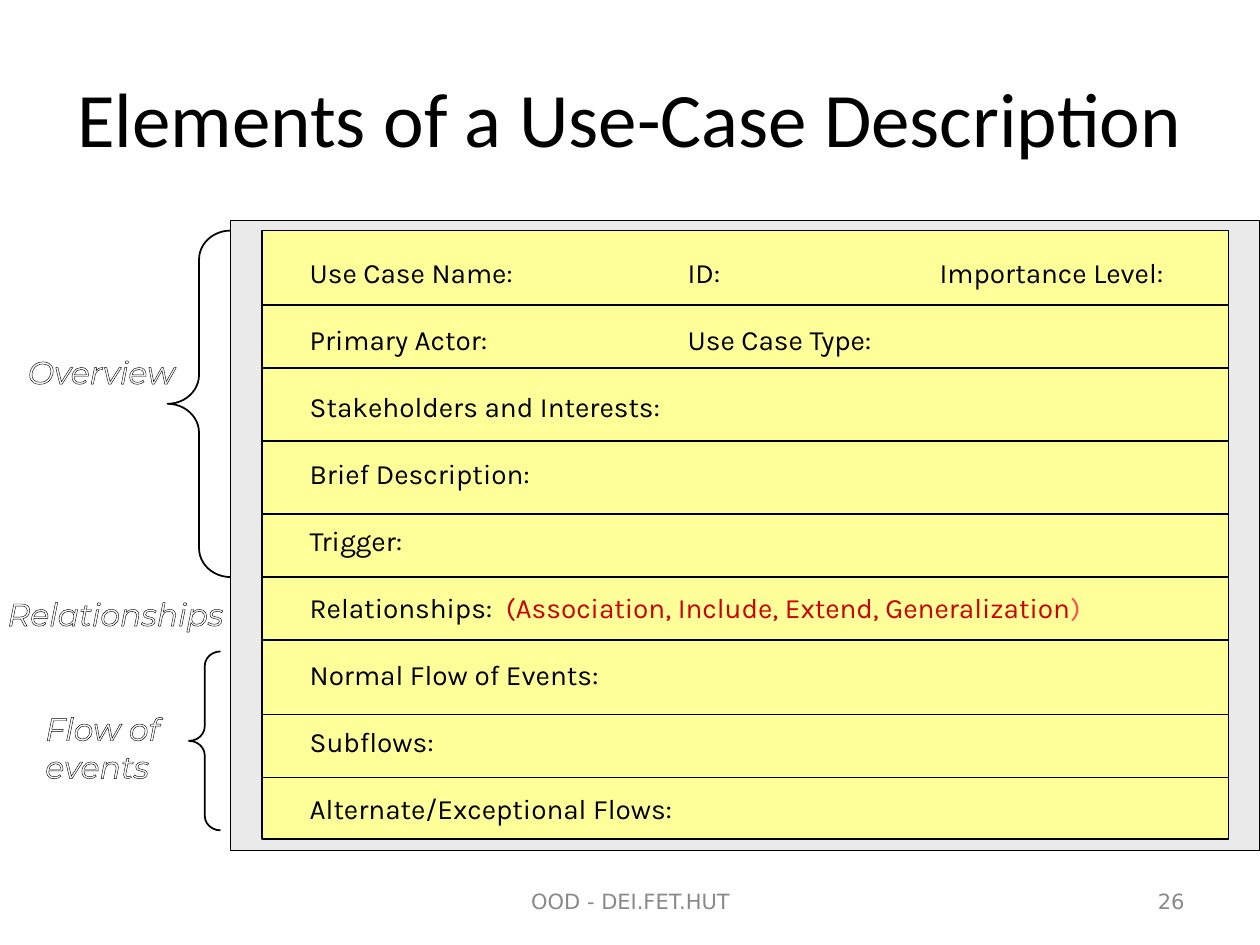
from lxml import etree
from pptx import Presentation
from pptx.dml.color import RGBColor
from pptx.enum.shapes import MSO_CONNECTOR, MSO_SHAPE
from pptx.enum.text import MSO_ANCHOR, PP_ALIGN
from pptx.oxml.ns import qn
from pptx.util import Inches, Pt

COLORS = {"text": "000000", "muted": "898989", "panel": "EAEAEA", "form": "FFFF99",
          "note": "CC0000", "bracket": "FF5050", "label": "FFFFFF"}

FORM_LEFT, FORM_TOP, FORM_RIGHT, FORM_BOTTOM = 2.08, 1.83, 9.75, 6.66
DIVIDERS = [2.42, 2.92, 3.5, 4.08, 4.58, 5.08, 5.67, 6.17]

# Each field is a list of (text, colour) runs
FIELDS = [
    [("Use Case Name:\t\tID:\t\tImportance Level:", "text")],
    [("Primary Actor:\t\tUse Case Type:", "text")],
    [("Stakeholders and Interests:", "text")],
    [("Brief Description:", "text")],
    [("Trigger:", "text")],
    [("Relationships:  ", "text"),
     ("(Association, Include, Extend, Generalization", "note"), (")", "bracket")],
    [("Normal Flow of Events:", "text")],
    [("Subflows:", "text")],
    [("Alternate/Exceptional Flows:", "text")],
]


def rgb(name):
    return RGBColor.from_string(COLORS[name])


def style_run(r, font, size, color):
    r.font.name, r.font.size = font, Pt(size)
    r.font.color.rgb = rgb(color)


def add_text(s, box, paragraphs, font, size):
    tf = s.shapes.add_textbox(*map(Inches, box)).text_frame
    tf.word_wrap = True
    for i, runs in enumerate(paragraphs):
        p = tf.paragraphs[0] if i == 0 else tf.add_paragraph()
        for text, color in runs:
            r = p.add_run()
            r.text = text
            style_run(r, font, size, color)
    return tf


def add_footer(s, box, text, align):
    tf = add_text(s, box, [[(text, "muted")]], "DejaVu Sans", 12)
    tf.vertical_anchor = MSO_ANCHOR.MIDDLE
    tf.paragraphs[0].alignment = align


def add_fields(s, box):
    """Form fields, evenly spaced, with a tab stop at every inch."""
    tf = add_text(s, box, FIELDS, "Karla", 16)
    for p in tf.paragraphs:
        p.space_after = Pt(19.1)
        tabs = etree.SubElement(p._p.get_or_add_pPr(), qn("a:tabLst"))
        for inch in range(1, 8):
            etree.SubElement(tabs, qn("a:tab"), pos=str(Inches(inch)), algn="l")


def add_label(s, box, lines):
    """Italic white text with a thin black outline."""
    tf = add_text(s, box, [[(line, "label")] for line in lines], "Montserrat", 18)
    tf.margin_left = tf.margin_right = 0
    for p in tf.paragraphs:
        r = p.runs[0]
        r.font.italic = True
        ln = etree.Element(qn("a:ln"), w=str(Pt(0.75)))
        fill = etree.SubElement(ln, qn("a:solidFill"))
        etree.SubElement(fill, qn("a:srgbClr"), val=COLORS["text"])
        r.font._element.insert(0, ln)


def add_outlined(s, kind, box, fill=None):
    sp = s.shapes.add_shape(kind, *map(Inches, box))
    sp.shadow.inherit = False
    if fill:
        sp.fill.solid()
        sp.fill.fore_color.rgb = rgb(fill)
    else:
        sp.fill.background()
    sp.line.color.rgb = rgb("text")
    sp.line.width = Pt(1)
    return sp


def add_brace(s, box):
    sp = add_outlined(s, MSO_SHAPE.LEFT_BRACE, box)
    sp.adjustments[0] = 0.46


def add_divider(s, y):
    line = s.shapes.add_connector(MSO_CONNECTOR.STRAIGHT, Inches(FORM_LEFT), Inches(y),
                                  Inches(FORM_RIGHT), Inches(y))
    line.line.color.rgb = rgb("text")
    line.line.width = Pt(1)
    etree.SubElement(line._element.spPr, qn("a:effectLst"))


def add_title(s, text):
    title = s.shapes.title
    title.left, title.top, title.width, title.height = map(Inches, (0.5, 0.3, 9, 1.25))
    tf = title.text_frame
    tf.text = text
    tf.vertical_anchor = MSO_ANCHOR.MIDDLE
    p = tf.paragraphs[0]
    p.alignment = PP_ALIGN.CENTER
    style_run(p.runs[0], "Calibri", 44, "text")


def main():
    prs = Presentation()
    prs.slide_width, prs.slide_height = Inches(10), Inches(7.5)
    s = prs.slides.add_slide(prs.slide_layouts[5])

    # Title and footer
    add_title(s, "Elements of a Use-Case Description")
    add_footer(s, (3.42, 6.95, 3.17, 0.4), "OOD - DEI.FET.HUT", PP_ALIGN.CENTER)
    add_footer(s, (7.17, 6.95, 2.33, 0.4), "26", PP_ALIGN.RIGHT)

    # Use-case form
    add_outlined(s, MSO_SHAPE.RECTANGLE, (1.83, 1.75, 8.17, 5), "panel")
    add_outlined(s, MSO_SHAPE.RECTANGLE,
                 (FORM_LEFT, FORM_TOP, FORM_RIGHT - FORM_LEFT, FORM_BOTTOM - FORM_TOP), "form")
    add_fields(s, (2.36, 1.98, 7.07, 4.63))
    for y in DIVIDERS:
        add_divider(s, y)

    # Section braces and labels
    add_brace(s, (1.33, 1.83, 0.5, 2.75))
    add_brace(s, (1.5, 5.17, 0.25, 1.42))
    add_label(s, (0.22, 2.75, 1.3, 0.34), ["Overview"])
    add_label(s, (0.36, 5.58, 1.1, 0.58), ["Flow of", "events"])
    add_label(s, (0.06, 4.67, 1.8, 0.34), ["Relationships"])

    prs.save("out.pptx")


if __name__ == "__main__":
    main()
